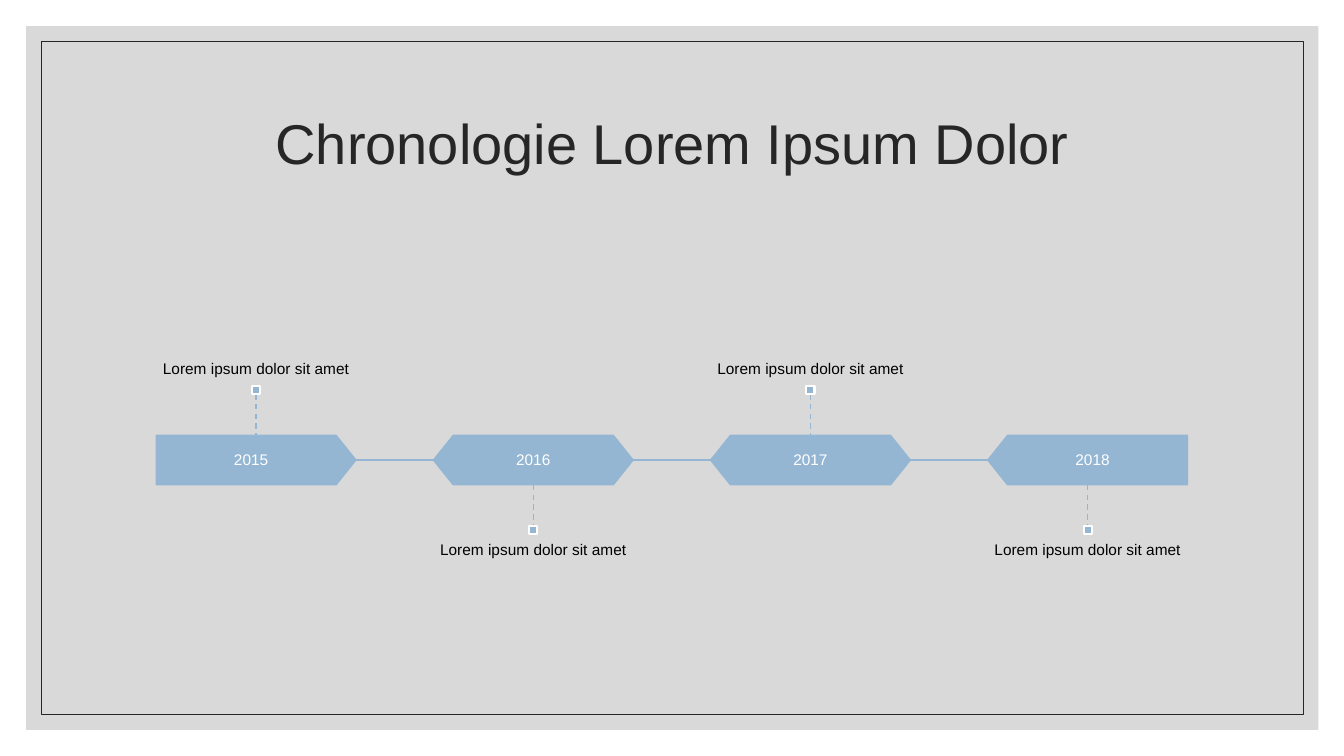
"""Build a four-step timeline slide with alternating labels."""
from pptx import Presentation
from pptx.dml.color import RGBColor
from pptx.enum.dml import MSO_LINE
from pptx.enum.shapes import MSO_CONNECTOR, MSO_SHAPE
from pptx.enum.text import MSO_ANCHOR, PP_ALIGN
from pptx.oxml.ns import qn
from pptx.util import Pt
from lxml import etree

RECTANGLE, PENTAGON, HEXAGON = MSO_SHAPE.RECTANGLE, MSO_SHAPE.PENTAGON, MSO_SHAPE.HEXAGON
STRAIGHT, DASH = MSO_CONNECTOR.STRAIGHT, MSO_LINE.DASH
TOP, MIDDLE, BOTTOM = MSO_ANCHOR.TOP, MSO_ANCHOR.MIDDLE, MSO_ANCHOR.BOTTOM
CENTER = PP_ALIGN.CENTER

WHITE = RGBColor(0xFF, 0xFF, 0xFF)
BLACK = RGBColor(0, 0, 0)
PANEL_GRAY = RGBColor(0xD9, 0xD9, 0xD9)
DARK = RGBColor(0x26, 0x26, 0x26)
BLUE = RGBColor(0x94, 0xB6, 0xD2)

FONT = "Arial"
YEARS = ("2015", "2016", "2017", "2018")
LABEL = "Lorem ipsum dolor sit amet"
FIRST_LEFT, STEP = 111.6, 198
STEP_WIDTH, STEP_HEIGHT = 142.6, 35.3
BAR_TOP = 311
BAR_MIDDLE = BAR_TOP + STEP_HEIGHT / 2
BAR_BOTTOM = BAR_TOP + STEP_HEIGHT
STEM, MARKER = 29.5, 5.8
LABEL_HEIGHT = 93.6


def add_box(slide, kind, left, top, width, height, fill, line, line_width):
    """Add a preset shape; a colour of None leaves fill or line out."""
    shape = slide.shapes.add_shape(kind, Pt(left), Pt(top), Pt(width), Pt(height))
    shape.shadow.inherit = False
    if fill is None:
        shape.fill.background()
    else:
        shape.fill.solid()
        shape.fill.fore_color.rgb = fill
    if line is None:
        shape.line.fill.background()
    else:
        shape.line.color.rgb = line
        shape.line.width = Pt(line_width)
    return shape


def set_text(shape, text, size, color, anchor, side=6.5, edge=6.5):
    """Write one centred paragraph into a shape."""
    frame = shape.text_frame
    frame.word_wrap = True
    frame.vertical_anchor = anchor
    frame.margin_left = frame.margin_right = Pt(side)
    frame.margin_top = frame.margin_bottom = Pt(edge)
    paragraph = frame.paragraphs[0]
    paragraph.text = text
    paragraph.alignment = CENTER
    paragraph.line_spacing = 0.9
    paragraph.font.name = FONT
    paragraph.font.size = Pt(size)
    paragraph.font.color.rgb = color


def add_line(slide, start_x, start_y, end_x, end_y, dash=None):
    """Add a thin blue line, dashed on request."""
    line = slide.shapes.add_connector(
        STRAIGHT, Pt(start_x), Pt(start_y), Pt(end_x), Pt(end_y))
    line.line.color.rgb = BLUE
    line.line.width = Pt(1)
    if dash is not None:
        line.line.dash_style = dash
    etree.SubElement(line._element.spPr, qn("a:effectLst"))


def add_title(slide, text):
    """Place and format the title placeholder."""
    title = slide.shapes.title
    title.left, title.top, title.width, title.height = Pt(84), Pt(50.4), Pt(792), Pt(108)
    set_text(title, text, 40, DARK, MIDDLE, 7.2, 3.6)


def add_year(slide, index, year):
    """Add the bar segment of one year, pointed towards its neighbours."""
    last = len(YEARS) - 1
    kind = PENTAGON if index in (0, last) else HEXAGON
    bar = add_box(slide, kind, FIRST_LEFT + index * STEP, BAR_TOP,
                  STEP_WIDTH, STEP_HEIGHT, BLUE, BLUE, 1)
    bar.adjustments[0] = 0.4
    if index == last:
        bar._element.spPr.xfrm.set("flipH", "1")
    set_text(bar, year, 11, WHITE, MIDDLE)


def add_callout(slide, center, above):
    """Add a dashed stem, its marker and its label on one side of the bar."""
    if above:
        stem_top = BAR_TOP - STEM
        marker_top = stem_top - MARKER
        label_top, anchor = marker_top - LABEL_HEIGHT, BOTTOM
    else:
        stem_top = BAR_BOTTOM
        marker_top = stem_top + STEM
        label_top, anchor = marker_top + MARKER, TOP
    label = slide.shapes.add_textbox(
        Pt(center - STEP / 2), Pt(label_top), Pt(STEP), Pt(LABEL_HEIGHT))
    set_text(label, LABEL, 11, BLACK, anchor, 0, 7.9)
    add_line(slide, center, stem_top, center, stem_top + STEM, DASH)
    add_box(slide, RECTANGLE, center - MARKER / 2, marker_top,
            MARKER, MARKER, BLUE, WHITE, 1.5)


def main():
    """Build and save the slide."""
    presentation = Presentation()
    presentation.slide_width, presentation.slide_height = Pt(960), Pt(540)
    slide = presentation.slides.add_slide(presentation.slide_layouts[5])
    add_box(slide, RECTANGLE, 18.7, 18.7, 923, 502.6, PANEL_GRAY, None, 0)
    add_box(slide, RECTANGLE, 29.5, 29.5, 901.4, 481, None, DARK, 0.5)
    title_element = slide.shapes.title._element
    slide.shapes._spTree.append(title_element)
    add_title(slide, "Chronologie Lorem Ipsum Dolor")
    for index, year in enumerate(YEARS):
        left = FIRST_LEFT + index * STEP
        add_year(slide, index, year)
        if index < len(YEARS) - 1:
            add_line(slide, left + STEP_WIDTH, BAR_MIDDLE, left + STEP, BAR_MIDDLE)
        add_callout(slide, left + STEP_WIDTH / 2, index % 2 == 0)
    presentation.save("out.pptx")


if __name__ == "__main__":
    main()
